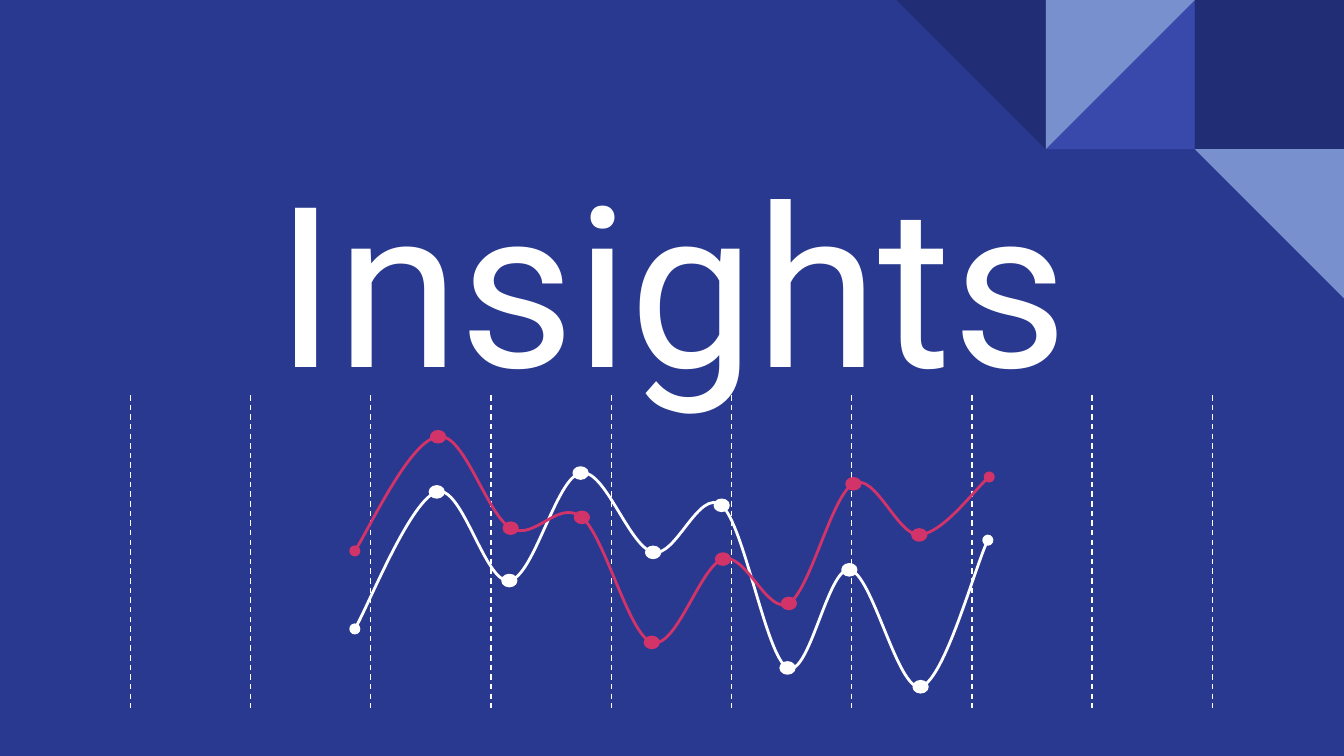
from lxml import etree
from pptx import Presentation
from pptx.dml.color import RGBColor
from pptx.enum.dml import MSO_LINE
from pptx.enum.shapes import MSO_CONNECTOR, MSO_SHAPE
from pptx.enum.text import MSO_ANCHOR, PP_ALIGN
from pptx.oxml.ns import qn
from pptx.util import Pt

PX = 9144  # EMU per px, 100 px to the inch
RECT, TRIANGLE, OVAL = MSO_SHAPE.RECTANGLE, MSO_SHAPE.RIGHT_TRIANGLE, MSO_SHAPE.OVAL
STRAIGHT, DASH = MSO_CONNECTOR.STRAIGHT, MSO_LINE.DASH
CENTER, BOTTOM = PP_ALIGN.CENTER, MSO_ANCHOR.BOTTOM

BACKGROUND = RGBColor(0x2A, 0x39, 0x90)
NAVY = RGBColor(0x21, 0x2D, 0x74)
INDIGO = RGBColor(0x39, 0x49, 0xAB)
SKY = RGBColor(0x78, 0x90, 0xCD)
WHITE = RGBColor(0xFF, 0xFF, 0xFF)
PINK = RGBColor(0xD2, 0x33, 0x69)


def add_filled(kind, x, y, w, h, color):
    sp = s.shapes.add_shape(kind, x * PX, y * PX, w * PX, h * PX)
    sp.shadow.inherit = False
    sp.fill.solid()
    sp.fill.fore_color.rgb = color
    sp.line.fill.background()
    return sp


def add_curve(points, color):
    """Draw a cubic Bezier path: a start point, then three points per segment."""
    emu = [(x * PX, y * PX) for x, y in points]
    builder = s.shapes.build_freeform(*emu[0])
    builder.add_line_segments(emu[1:], close=False)
    sp = builder.convert_to_shape()
    sp.shadow.inherit = False
    sp.fill.background()
    sp.line.color.rgb = color
    sp.line.width = Pt(1.5)
    path = next(sp._element.iter(qn("a:path")))
    segments = path.findall(qn("a:lnTo"))
    for i in range(0, len(segments), 3):
        curve = etree.SubElement(path, qn("a:cubicBezTo"))
        for segment in segments[i:i + 3]:
            curve.append(segment[0])
            path.remove(segment)
    ln = sp._element.spPr.find(qn("a:ln"))
    for end in ("a:headEnd", "a:tailEnd"):
        etree.SubElement(ln, qn(end), type="oval")


prs = Presentation()
prs.slide_width, prs.slide_height = 1000 * PX, int(562.5 * PX)
s = prs.slides.add_slide(prs.slide_layouts[5])
s.background.fill.solid()
s.background.fill.fore_color.rgb = BACKGROUND

# Corner mosaic: kind, column, row, rotation, mirrored, colour
TILE = 111
tiles = [
    (RECT, 2, 0, 0, False, NAVY),
    (TRIANGLE, 1, 0, 0, True, INDIGO),
    (TRIANGLE, 1, 0, 180, True, SKY),
    (TRIANGLE, 0, 0, 180, False, NAVY),
    (TRIANGLE, 2, 1, 180, False, SKY),
]
for kind, col, row, rotation, mirrored, color in tiles:
    sp = add_filled(kind, 667 + col * TILE, row * TILE, TILE, TILE, color)
    sp.rotation = rotation
    if mirrored:
        sp._element.spPr.find(qn("a:xfrm")).set("flipH", "1")

# Dashed grid
GRID_LEFT, GRID_RIGHT, GRID_COUNT = 97, 902, 10
for i in range(GRID_COUNT):
    x = round((GRID_LEFT + i * (GRID_RIGHT - GRID_LEFT) / (GRID_COUNT - 1)) * PX)
    line = s.shapes.add_connector(STRAIGHT, x, 294 * PX, x, 527 * PX)
    line.line.color.rgb = WHITE
    line.line.width = Pt(0.75)
    line.line.dash_style = DASH
    etree.SubElement(line._element.spPr, qn("a:effectLst"))

# Trend curves with a dot on each inner node
white_trend = [
    (264, 468),
    (274, 451), (306, 372), (325, 366),
    (344, 360), (361, 435), (379, 432),
    (397, 430), (414, 355), (432, 352),
    (450, 348), (468, 407), (486, 411),
    (503, 415), (520, 363), (537, 376),
    (554, 391), (570, 489), (586, 497),
    (602, 505), (616, 422), (632, 424),
    (649, 426), (668, 515), (685, 511),
    (702, 507), (726, 420), (735, 402),
]
pink_trend = [
    (264, 410),
    (274, 395), (306, 327), (326, 325),
    (345, 321), (362, 383), (380, 393),
    (398, 403), (415, 371), (433, 385),
    (450, 399), (468, 473), (485, 478),
    (503, 484), (521, 421), (538, 416),
    (555, 411), (571, 458), (587, 449),
    (603, 439), (619, 368), (635, 360),
    (651, 351), (668, 399), (684, 398),
    (701, 397), (727, 362), (736, 355),
]
DOT_W, DOT_H = 10, 8
for points, color in ((white_trend, WHITE), (pink_trend, PINK)):
    add_curve(points, color)
    for x, y in points[3:-1:3]:
        dot = add_filled(OVAL, x - DOT_W // 2, y - DOT_H // 2, DOT_W, DOT_H, color)
        dot.line.color.rgb = color
        dot.line.width = Pt(1.5)

# Title, in front of the grid
title = s.shapes.title
title.left, title.top, title.width, title.height = 34 * PX, 95 * PX, 932 * PX, 222 * PX
tf = title.text_frame
tf.word_wrap = True
tf.vertical_anchor = BOTTOM
tf.margin_left = tf.margin_right = tf.margin_top = tf.margin_bottom = 10 * PX
p = tf.paragraphs[0]
p.alignment = CENTER
r = p.add_run()
r.text = "Insights"
r.font.name = "Roboto"
r.font.size = Pt(120)
r.font.color.rgb = WHITE
s.shapes._spTree.append(title._element)

prs.save("out.pptx")
